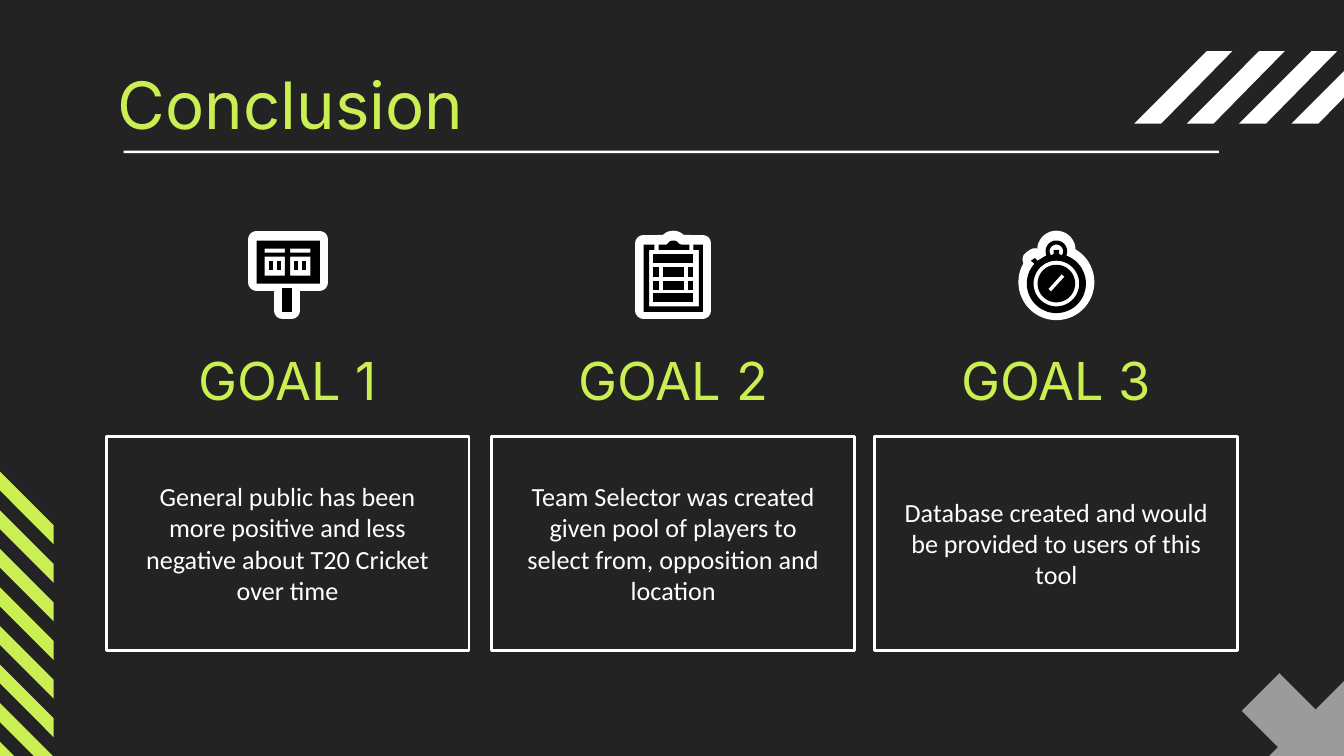
from math import cos, radians, sin

from pptx import Presentation
from pptx import util as u
from pptx.dml.color import RGBColor
from pptx.enum import shapes, text

theme = dict(
    back="232323", lime="CBEF53", white="FFFFFF", grey="9B9B9B", black="000000",
    head="Inter", body="Calibri", title=35, goal=28, note=14, edge=1.5, halo=9,
)

deck = Presentation()
deck.slide_width, deck.slide_height = u.Inches(10), u.Inches(5.625)
cell = deck.slide_width // 10  # square grid, ten columns across
page = deck.slides.add_slide(deck.slide_layouts[6])
page.background.fill.solid()
page.background.fill.fore_color.rgb = RGBColor.from_string(theme["back"])


def write(words, at, font="head", size="goal", color="lime", align="CENTER", anchor="MIDDLE"):
    box = page.shapes.add_textbox(*[round(n * cell) for n in at])
    frame = box.text_frame
    frame.word_wrap = True
    frame.vertical_anchor = getattr(text.MSO_ANCHOR, anchor)
    frame.margin_left = frame.margin_right = cell // 10
    frame.margin_top = frame.margin_bottom = cell // 10
    para = frame.paragraphs[0]
    para.alignment = getattr(text.PP_ALIGN, align)
    run = para.add_run()
    run.text = words
    run.font.name, run.font.size = theme[font], u.Pt(theme[size])
    run.font.color.rgb = RGBColor.from_string(theme[color])


def draw(host, rings, color, halo=False, drop=0):
    """Ring parts: (x, y) point, (x, y, w, h) box, (x, y, radius, from, to) arc."""
    build = None
    for ring in rings:
        dots = []
        for part in ring:
            if len(part) == 2:
                dots.append(part)
            elif len(part) == 4:
                x, y, w, h = part
                dots += [(x, y), (x, y + h), (x + w, y + h), (x + w, y)]
            else:
                x, y, r, a, b = part
                turns = [radians(a + (b - a) * i / 48) for i in range(49)]
                dots += [(x + r * cos(t), y + r * sin(t)) for t in turns]
        dots = [(round(x * cell), round((y + drop) * cell)) for x, y in dots]
        if build is None:
            build = host.shapes.build_freeform(*dots[0])
        else:
            build.move_to(*dots[0])
        build.add_line_segments(dots[1:], close=True)
    form = build.convert_to_shape()
    form.shadow.inherit = False
    form.fill.solid()
    form.fill.fore_color.rgb = RGBColor.from_string(theme[color])
    if halo:
        form.line.color.rgb = RGBColor.from_string(theme[color])
        form.line.width = u.Pt(theme["halo"])
    else:
        form.line.fill.background()


# Corner stripes, cross and side stripes
group = page.shapes.add_group_shape()
for i in range(4):
    x = 8.44 + 0.39 * i
    draw(group, [[(x + 0.54, 0.38), (x, 0.92), (x + 0.2, 0.92), (x + 0.73, 0.38)]], "white")

group = page.shapes.add_group_shape()
draw(group, [[(10.06, 5.01), (9.24, 5.83), (9.52, 6.11), (10.34, 5.29)]], "grey")
draw(group, [[(9.52, 5.01), (9.24, 5.29), (10.06, 6.11), (10.34, 5.83)]], "grey")

group = page.shapes.add_group_shape()
for i in range(8):
    y = 3.51 + 2.01 * i / 7
    draw(group, [[(0, y), (0, y + 0.14), (0.4, y + 0.54), (0.4, y + 0.4)]], "lime")

# Title and rule
rule = page.shapes.add_shape(
    shapes.MSO_SHAPE.RECTANGLE, *[round(n * cell) for n in (0.92, 1.12, 8.15, 0.02)])
rule.shadow.inherit = False
rule.fill.solid()
rule.fill.fore_color.rgb = RGBColor.from_string(theme["white"])
rule.line.fill.background()
write("Conclusion", (0.78, 0.38, 8.44, 0.67), size="title", align="LEFT", anchor="TOP")

# Goal columns
goals = [
    (2.14, "GOAL 1", "General public has been more positive and less negative about T20 Cricket over time"),
    (5.01, "GOAL 2", "Team Selector was created given pool of players to select from, opposition and location"),
    (7.86, "GOAL 3", "Database created and would be provided to users of this tool"),
]
for mid, name, note in goals:
    card = page.shapes.add_shape(
        shapes.MSO_SHAPE.RECTANGLE, *[round(n * cell) for n in (mid - 1.35, 3.25, 2.7, 1.59)])
    card.shadow.inherit = False
    card.fill.background()
    card.line.color.rgb = RGBColor.from_string(theme["white"])
    card.line.width = u.Pt(theme["edge"])
    write(name, (mid - 1.19, 2.53, 2.38, 0.59))
    write(note, (mid - 1.25, 3.44, 2.5, 1.2), font="body", size="note", color="white")

# Icons: each is a list of pieces, each piece a list of rings
watch = [
    [[(7.9, 2.03), (7.92, 2.05), (7.82, 2.16), (7.8, 2.14)], [(7.86, 2.1, 0.14, 0, 360)]],
    [
        [(7.86, 1.86, 0.05, 143, 397), (7.88, 1.88), (7.88, 1.85), (7.84, 1.85), (7.84, 1.88)],
        [(7.86, 2.1, 0.17, 0, 360)],
        [(7.86, 2.1, 0.22, -68, 222), (7.67, 1.93), (7.7, 1.91), (7.72, 1.93),
         (7.86, 1.86, 0.08, 158, 382)],
    ],
]
board = [[[(x, y, 0.04, 0.07)]] for x in (4.86, 5.12) for y in (1.98, 2.08)]
board += [[[(4.93, y, 0.16, 0.07)]] for y in (1.98, 2.08)]
board += [[[(4.86, y, 0.3, 0.07)]] for y in (1.88, 2.17)]
board += [
    [[(4.79, 1.81), (4.79, 2.31), (5.23, 2.31), (5.23, 1.81), (5.16, 1.81), (5.16, 1.85),
      (5.2, 1.85), (5.2, 2.27), (4.83, 2.27), (4.83, 1.85), (4.87, 1.85), (4.87, 1.81)]],
    [[(4.9, 1.85), (4.9, 1.81), (4.96, 1.81), (5.01, 1.83, 0.05, 210, 330),
      (5.07, 1.81), (5.13, 1.81), (5.13, 1.85)]],
]
score = [[[(x, 1.93, 0.03, 0.07)]] for x in (2, 2.06, 2.19, 2.25)]
score += [
    [[(2.1, 2.13, 0.07, 0.18)]],
    [[(x, y, 0.15, h)] for y, h in ((1.84, 0.03), (1.9, 0.14)) for x in (1.97, 2.16)]
    + [[(1.91, 1.78, 0.47, 0.32)]],
]
for icon in (watch, board, score):
    group = page.shapes.add_group_shape()
    for color, halo, drop in (("white", True, 0), ("black", False, 0.01)):
        for rings in icon:
            draw(group, rings, color, halo, drop)

deck.save("out.pptx")
